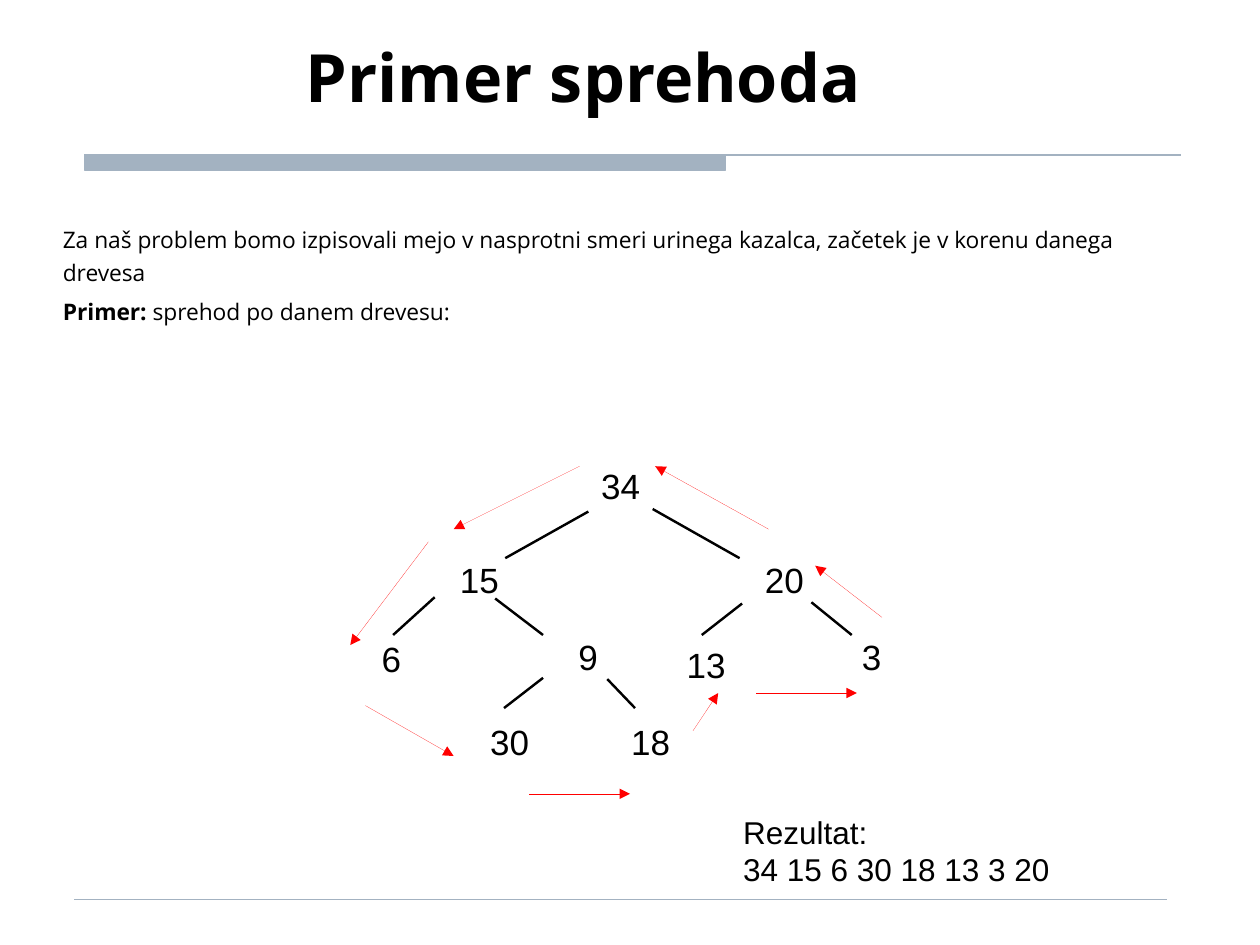
from lxml import etree
from pptx import Presentation
from pptx.dml.color import RGBColor
from pptx.enum.shapes import MSO_CONNECTOR, MSO_SHAPE
from pptx.enum.text import MSO_ANCHOR, MSO_AUTO_SIZE, PP_ALIGN
from pptx.oxml.ns import qn
from pptx.util import Inches, Pt

STRAIGHT = MSO_CONNECTOR.STRAIGHT
RECTANGLE = MSO_SHAPE.RECTANGLE
CENTER = PP_ALIGN.CENTER
TOP, MIDDLE = MSO_ANCHOR.TOP, MSO_ANCHOR.MIDDLE
NO_AUTOSIZE, GROW = MSO_AUTO_SIZE.NONE, MSO_AUTO_SIZE.SHAPE_TO_FIT_TEXT

BLACK, RED, SLATE = "000000", "FF0000", "A3B2C1"
HEADING_FONT, TREE_FONT = "Open Sans", "Arial"
TITLE_ONLY = 5

NODES = [
    ("34", 2.27, 0.19),
    ("15", 1.15, 0.93), ("20", 3.57, 0.93),
    ("6", 0.53, 1.56), ("9", 2.09, 1.54), ("13", 2.95, 1.61), ("3", 4.34, 1.54),
    ("30", 1.39, 2.22), ("18", 2.51, 2.22),
]
BRANCHES = [
    (1.51, 0.93, 2.17, 0.56), (0.62, 1.54, 0.95, 1.24),
    (1.43, 1.25, 1.81, 1.54), (1.5, 2.12, 1.81, 1.88),
    (2.32, 1.89, 2.54, 2.12), (2.68, 0.54, 3.37, 0.93),
    (3.07, 1.54, 3.39, 1.29), (3.94, 1.28, 4.26, 1.54),
]
WALK = [
    (2.1, 0.2, 1.1, 0.7), (0.9, 0.8, 0.28, 1.62),
    (0.4, 2.1, 1.1, 2.5), (1.7, 2.8, 2.5, 2.8),
    (3, 2.3, 3.2, 2), (3.5, 2, 4.3, 2),
    (4.5, 1.4, 3.97, 0.99), (3.6, 0.7, 2.7, 0.2),
]


def color(hex_value):
    return RGBColor.from_string(hex_value)


def add_run(paragraph, text, size, font, bold=False):
    run = paragraph.add_run()
    run.text = text
    run.font.size = Pt(size)
    run.font.name = font
    run.font.bold = bold
    run.font.color.rgb = color(BLACK)


def add_text_frame(slide, left, top, width, height):
    frame = slide.shapes.add_textbox(
        Inches(left), Inches(top), Inches(width), Inches(height)).text_frame
    frame.word_wrap = True
    frame.auto_size = NO_AUTOSIZE
    frame.vertical_anchor = TOP
    return frame


def add_line(slide, x1, y1, x2, y2, hex_value, width=None, arrow=False):
    line = slide.shapes.add_connector(
        STRAIGHT, Inches(x1), Inches(y1), Inches(x2), Inches(y2))
    line.line.color.rgb = color(hex_value)
    if width is not None:
        line.line.width = Pt(width)
    if arrow:
        etree.SubElement(line.line._get_or_add_ln(), qn("a:tailEnd"), type="triangle")
    element = line._element
    element.remove(element.find(qn("p:style")))
    etree.SubElement(element.spPr, qn("a:effectLst"))


def add_rules(slide, left, top, width):
    bar = slide.shapes.add_shape(
        RECTANGLE, Inches(left), Inches(top), Inches(5.09), Inches(0.12))
    bar.shadow.inherit = False
    bar.fill.solid()
    bar.fill.fore_color.rgb = color(SLATE)
    bar.line.color.rgb = color(SLATE)
    bar.line.width = Pt(0.74)
    add_line(slide, left, top, left + width, top, SLATE, 0.74)
    add_line(slide, 0.59, 7.14, 9.26, 7.14, SLATE, 0.26)


def add_title(slide, left, top, width, height):
    title = slide.shapes.title
    title.left, title.top = Inches(left), Inches(top)
    title.width, title.height = Inches(width), Inches(height)
    frame = title.text_frame
    frame.auto_size = NO_AUTOSIZE
    frame.vertical_anchor = MIDDLE
    heading = frame.paragraphs[0]
    heading.alignment = CENTER
    add_run(heading, "Primer sprehoda", 38, HEADING_FONT, True)


def add_introduction(slide, left, top, width, height):
    frame = add_text_frame(slide, left, top, width, height)
    problem, example = frame.paragraphs[0], frame.add_paragraph()
    for paragraph, spacing in ((problem, 1.2), (example, 1.1)):
        paragraph.line_spacing = spacing
        paragraph.space_before = Pt(5)
    add_run(problem, "Za naš problem bomo izpisovali mejo v nasprotni smeri "
            "urinega kazalca, začetek je v korenu danega drevesa", 13, HEADING_FONT)
    add_run(example, "Primer:", 13, HEADING_FONT, True)
    add_run(example, " sprehod po danem drevesu:", 13, HEADING_FONT)


def add_tree(slide, left, top):
    for value, x, y in NODES:
        frame = add_text_frame(slide, left + x, top + y, 0.155 * len(value), 0.33)
        frame.margin_left = frame.margin_right = 0
        frame.margin_top = frame.margin_bottom = 0
        frame.word_wrap = False
        frame.auto_size = GROW
        add_run(frame.paragraphs[0], value, 20, TREE_FONT)
    for x1, y1, x2, y2 in BRANCHES:
        add_line(slide, left + x1, top + y1, left + x2, top + y2, BLACK, 1.39)
    for x1, y1, x2, y2 in WALK:
        add_line(slide, left + x1, top + y1, left + x2, top + y2, RED, arrow=True)


def add_result(slide, left, top, width, height):
    frame = add_text_frame(slide, left, top, width, height)
    add_run(frame.paragraphs[0], "Rezultat:", 18, TREE_FONT)
    add_run(frame.add_paragraph(), "34 15 6 30 18 13 3 20", 18, TREE_FONT)


def main():
    deck = Presentation()
    deck.slide_width, deck.slide_height = Inches(10), Inches(7.5)
    slide = deck.slides.add_slide(deck.slide_layouts[TITLE_ONLY])
    add_rules(slide, 0.67, 1.23, 8.7)
    add_title(slide, 0.9, 0.3, 7.46, 0.6)
    add_introduction(slide, 0.4, 1.7, 8.91, 1.6)
    add_tree(slide, 2.5, 3.5)
    add_result(slide, 5.8, 6.4, 3.4, 0.66)
    deck.save("out.pptx")


main()
